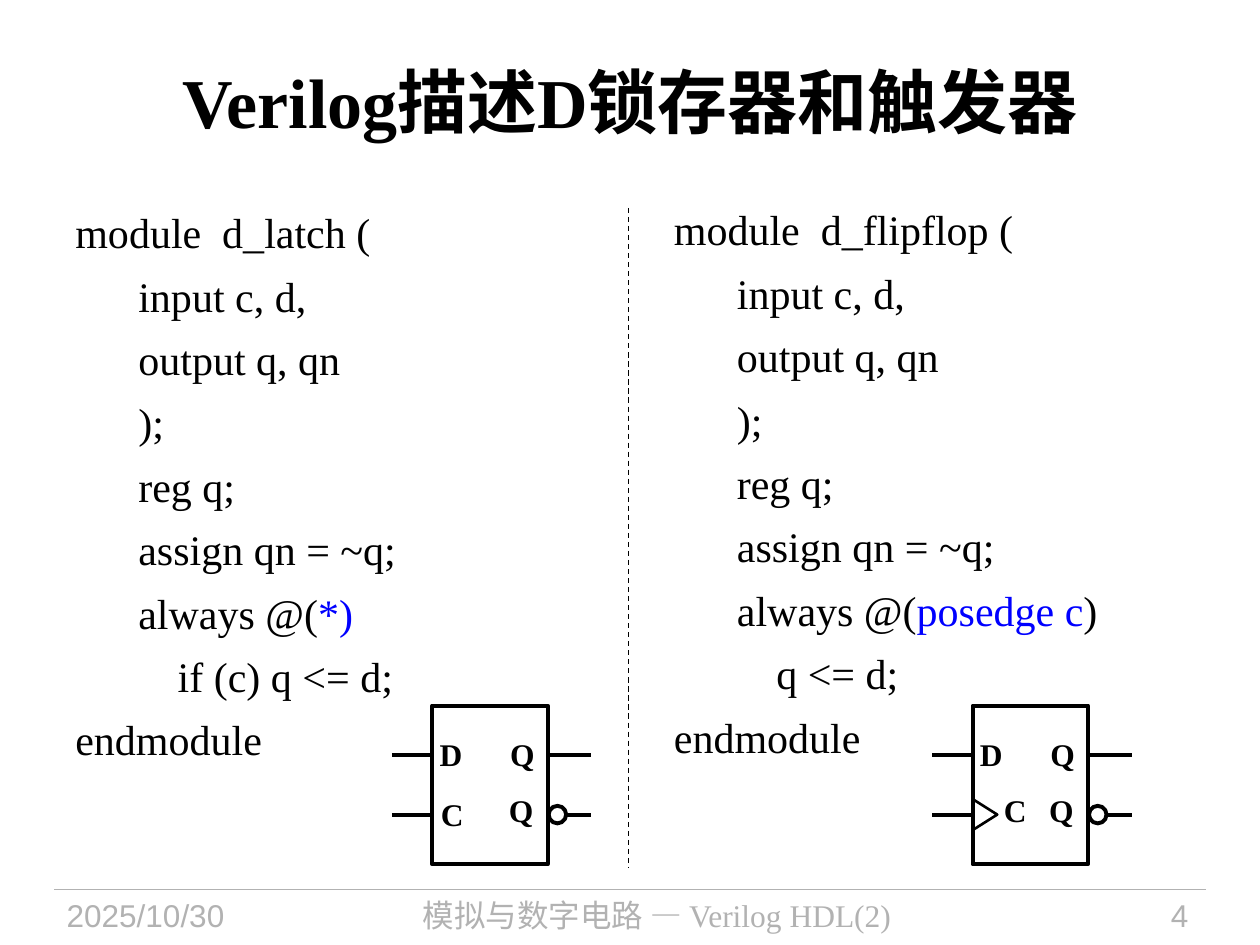
import pptx
import pptx.dml.color
import pptx.enum.dml
import pptx.enum.shapes
import pptx.enum.text
import pptx.oxml.ns
import pptx.util
from lxml import etree

Pt = pptx.util.Pt
SHAPE = pptx.enum.shapes.MSO_SHAPE
ALIGN = pptx.enum.text.PP_ALIGN
SERIF, SANS = "Times New Roman", "Arial"
BLACK, BLUE, GREY, WHITE = "000000", "0000FF", "B2B2B2", "FFFFFF"

# Each code line is (level, [(text, colour), ...])
HEADER_LINES = ["input c, d,", "output q, qn", ");", "reg q;", "assign qn = ~q;"]
LATCH_BODY = [[("always @(", BLACK), ("*)", BLUE)],
              [("\tif (c) q <= d;", BLACK)]]
FLIPFLOP_BODY = [[("always @(", BLACK), ("posedge c", BLUE), (")", BLACK)],
                 [("\tq <= d;", BLACK)]]


def colour(hex_string):
    return pptx.dml.color.RGBColor.from_string(hex_string)


def add_run(paragraph, text, size, font, hex_string, bold=False):
    run = paragraph.add_run()
    run.text = text
    run.font.size = Pt(size)
    run.font.name = font
    run.font.bold = bold
    run.font.color.rgb = colour(hex_string)


def add_line(shapes, x1, y1, x2, y2, hex_string=BLACK, width=2.25):
    line = shapes.add_connector(pptx.enum.shapes.MSO_CONNECTOR.STRAIGHT,
                                Pt(x1), Pt(y1), Pt(x2), Pt(y2))
    line.line.color.rgb = colour(hex_string)
    line.line.width = Pt(width)
    etree.SubElement(line._element.spPr, pptx.oxml.ns.qn("a:effectLst"))
    return line


def add_outline(shapes, kind, x, y, width, height, fill=None, weight=2.25):
    outline = shapes.add_shape(kind, Pt(x), Pt(y), Pt(width), Pt(height))
    outline.shadow.inherit = False
    if fill:
        outline.fill.solid()
        outline.fill.fore_color.rgb = colour(fill)
    else:
        outline.fill.background()
    outline.line.color.rgb = colour(BLACK)
    outline.line.width = Pt(weight)
    return outline


def add_title(slide, x, y, width, height):
    title = slide.shapes.title
    title.left, title.top, title.width, title.height = Pt(x), Pt(y), Pt(width), Pt(height)
    title.text_frame.vertical_anchor = pptx.enum.text.MSO_ANCHOR.MIDDLE
    heading = title.text_frame.paragraphs[0]
    heading.alignment = ALIGN.CENTER
    add_run(heading, "Verilog描述D锁存器和触发器", 40, SERIF, BLACK, True)


def add_code(slide, x, y, width, height, module, body):
    frame = slide.shapes.add_textbox(Pt(x), Pt(y), Pt(width), Pt(height)).text_frame
    frame.word_wrap = True
    lines = [(0, [(f"module  {module} (", BLACK)])]
    lines += [(1, [(text, BLACK)]) for text in HEADER_LINES]
    lines += [(1, runs) for runs in body]
    lines += [(0, [("endmodule", BLACK)])]
    for number, (level, runs) in enumerate(lines):
        code_line = frame.add_paragraph() if number else frame.paragraphs[0]
        margin, indent = [(27, -27), (58.5, -22.5)][level]
        properties = code_line._p.get_or_add_pPr()
        properties.set("marL", str(Pt(margin)))
        properties.set("indent", str(Pt(indent)))
        code_line.level = level
        code_line.line_spacing = 1.05
        code_line.space_after = Pt(6)
        for text, hex_string in runs:
            add_run(code_line, text, 24, SERIF, hex_string)


def add_symbol(slide, x, y, width, height, edge_triggered):
    """Place a D storage element whose body fills the given box."""
    parts = slide.shapes.add_group_shape().shapes
    data_y, clock_y, pin, bubble = y + 28, y + 62.3, 23, 10
    right = x + width

    # Body, pins and inverting output
    add_outline(parts, SHAPE.RECTANGLE, x, y, width, height)
    for pin_y in (data_y, clock_y):
        add_line(parts, x - pin, pin_y, x, pin_y)
    add_line(parts, right, data_y, right + 25, data_y)
    add_line(parts, right + bubble, clock_y, right + 25, clock_y)
    add_outline(parts, SHAPE.OVAL, right + 0.5, clock_y - bubble / 2,
                bubble, bubble, WHITE)

    # Edge mark of the clock input
    if edge_triggered:
        base, depth = 17.3, 13.7
        mark = add_outline(parts, SHAPE.FLOWCHART_EXTRACT, x + 7.2 - base / 2,
                           clock_y - depth / 2, base, depth, weight=1.5)
        mark.rotation = 90

    # Pin names
    clock_label = (10.8, 45.4) if edge_triggered else (-2.2, 47.5)
    for name, left, top in [("D", -2.9, 13), ("Q", 37.4, 13),
                            ("Q", 36.7, 45.4), ("C", *clock_label)]:
        label = parts.add_textbox(Pt(x + left), Pt(y + top), Pt(28), Pt(29)).text_frame
        label.word_wrap = False
        label.auto_size = pptx.enum.text.MSO_AUTO_SIZE.SHAPE_TO_FIT_TEXT
        add_run(label.paragraphs[0], name, 18, SERIF, BLACK, True)


def add_footer(slide, x, y, width, height):
    add_line(slide.shapes, x, y, x + width, y, GREY, 0.75)
    for text, left, part_width, align, font in [
            ("2025/10/30", 0, 135.4, ALIGN.LEFT, SANS),
            ("模拟与数字电路 — Verilog HDL(2)", 141.8, 405.4, ALIGN.CENTER, SERIF),
            ("4", 559.4, 95.8, ALIGN.RIGHT, SANS)]:
        frame = slide.shapes.add_textbox(Pt(x + left), Pt(y), Pt(part_width),
                                         Pt(height)).text_frame
        frame.word_wrap = True
        frame.paragraphs[0].alignment = align
        add_run(frame.paragraphs[0], text, 18, font, GREY)


def main():
    deck = pptx.Presentation()
    deck.slide_width, deck.slide_height = Pt(720), Pt(540)
    slide = deck.slides.add_slide(deck.slide_layouts[5])

    add_footer(slide, 31, 508.3, 658, 31.7)
    add_title(slide, 36, 12.2, 648, 90)

    # Flip-flop on the right, latch on the left
    add_code(slide, 378, 111.6, 314, 356.4, "d_flipflop", FLIPFLOP_BODY)
    add_code(slide, 36, 113.2, 299, 356.4, "d_latch", LATCH_BODY)
    add_symbol(slide, 247, 403.2, 66, 90.7, edge_triggered=False)
    add_symbol(slide, 555.8, 403.2, 66, 90.7, edge_triggered=True)

    divider = add_line(slide.shapes, 359.3, 118.8, 359.3, 496, width=0.75)
    divider.line.dash_style = pptx.enum.dml.MSO_LINE.DASH

    deck.save("out.pptx")


if __name__ == "__main__":
    main()
